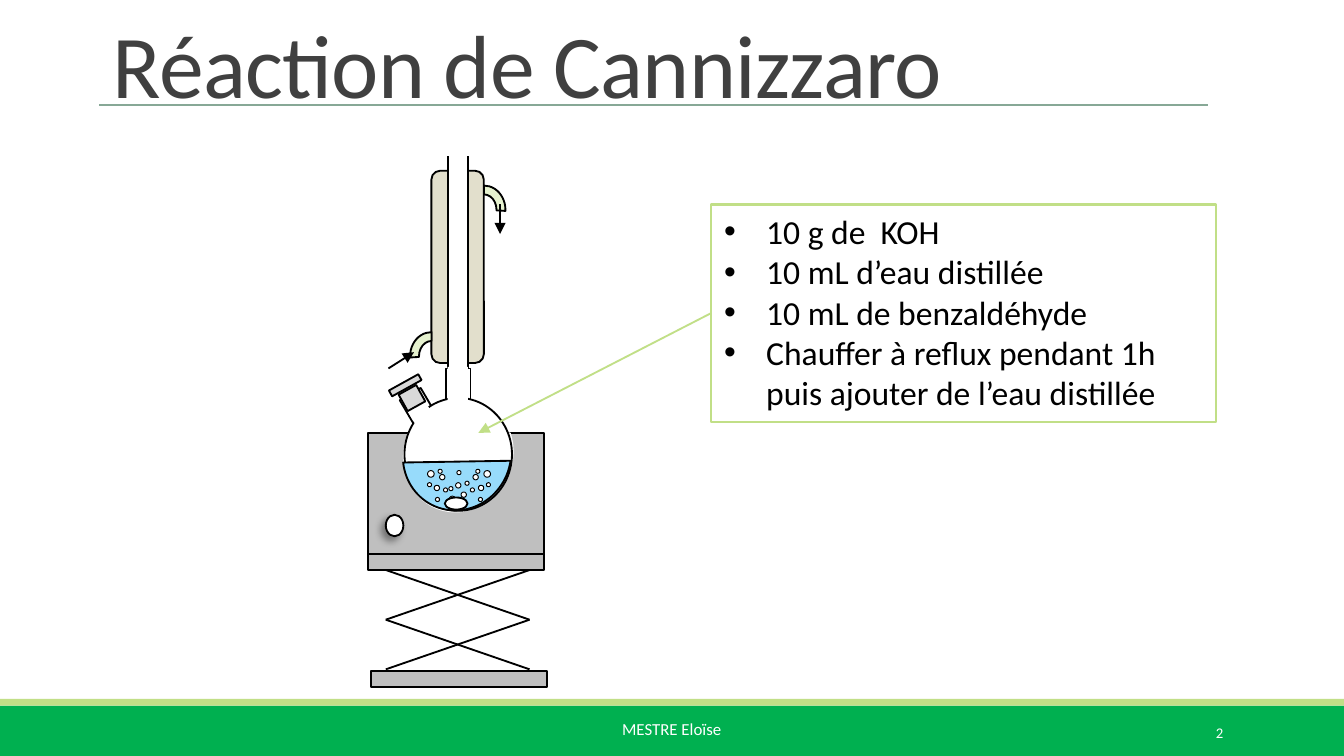
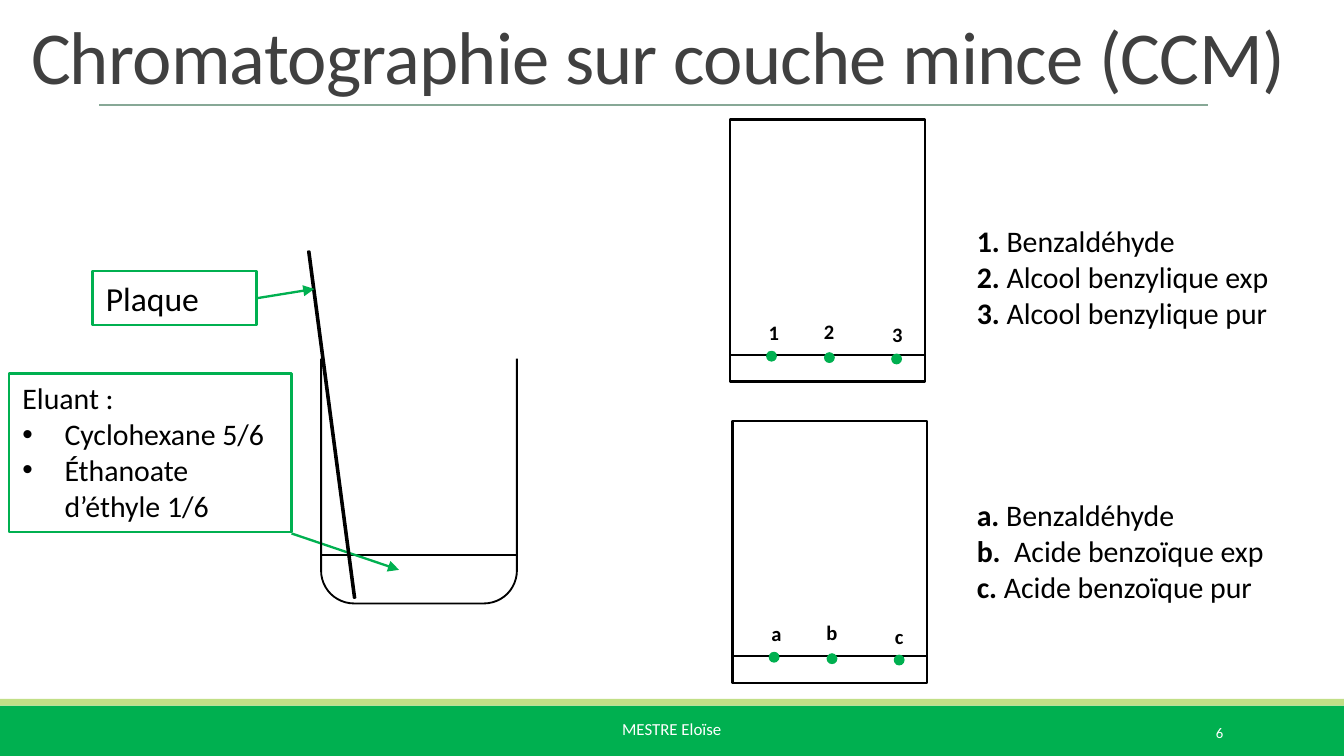
import math
from lxml import etree
from pptx import Presentation
from pptx import util as u
from pptx.dml.color import RGBColor
from pptx.enum import shapes, text
from pptx.oxml.ns import qn

Pt = u.Pt
KIND = shapes.MSO_SHAPE
FONT = "Calibri"
BLACK, WHITE, DARK = "000000", "FFFFFF", "404040"
GREEN, LIME, RULE = "00B050", "C1DF87", "87A896"
GREY, PALE_GREY, BEIGE = "BFBFBF", "D9D9D9", "E2DFCC"
HOSE, WATER, PLATE_GREY = "E6F2CF", "97DBFB", "A6A6A6"


def rgb(value):
    return RGBColor.from_string(value)


def style(run, size, color=BLACK, bold=False):
    run.font.name, run.font.size, run.font.bold = FONT, Pt(size), bold
    run.font.color.rgb = rgb(color)


def bullet(p, indent=22.5):
    pPr = p._p.get_or_add_pPr()
    pPr.set("marL", str(Pt(indent)))
    pPr.set("indent", str(-Pt(indent)))
    etree.SubElement(pPr, qn("a:buFont"), typeface="Arial")
    etree.SubElement(pPr, qn("a:buChar"), char="•")


def write(tf, lines, size, color=BLACK, bold=False, align=text.PP_ALIGN.LEFT,
          first_bullet=None):
    """Fill a frame; lines from first_bullet onwards get bullets."""
    tf.text = "\n".join(lines)
    for i, p in enumerate(tf.paragraphs):
        p.alignment = align
        if first_bullet is not None and i >= first_bullet:
            bullet(p)
        for r in p.runs:
            style(r, size, color, bold)


class Panel:
    """A group of parts placed relative to its left top corner."""

    def __init__(self, s, x, y):
        self.shapes = s.shapes.add_group_shape().shapes
        self.x, self.y = x, y

    def at(self, x, y):
        return Pt(self.x + x), Pt(self.y + y)

    def shape(self, kind, x, y, w, h, fill, line=None, width=1, rot=0,
              adj=(), flip=False):
        sp = self.shapes.add_shape(kind, *self.at(x, y), Pt(w), Pt(h))
        sp.shadow.inherit = False
        sp.rotation = rot
        for i, value in enumerate(adj):
            sp.adjustments[i] = value
        if flip:
            sp._element.spPr.xfrm.set("flipH", "1")
        sp.fill.solid()
        sp.fill.fore_color.rgb = rgb(fill)
        if line:
            sp.line.color.rgb = rgb(line)
            sp.line.width = Pt(width)
        else:
            sp.line.fill.background()
        return sp

    def line(self, x1, y1, x2, y2, color=BLACK, width=1, arrow=False):
        c = self.shapes.add_connector(shapes.MSO_CONNECTOR.STRAIGHT,
                                      *self.at(x1, y1), *self.at(x2, y2))
        c.line.color.rgb = rgb(color)
        c.line.width = Pt(width)
        if arrow:
            etree.SubElement(c.line._get_or_add_ln(), qn("a:tailEnd"), type="triangle")
        etree.SubElement(c._element.spPr, qn("a:effectLst"))
        return c

    def callout(self, x, y, w, h, lines, size, color, first_bullet=None):
        sp = self.shape(KIND.RECTANGLE, x, y, w, h, WHITE, color, 1.25)
        tf = sp.text_frame
        tf.word_wrap = True
        tf.vertical_anchor = text.MSO_ANCHOR.TOP
        write(tf, lines, size, first_bullet=first_bullet)
        return sp


def textbox(parent, x, y, w, h):
    tf = parent.add_textbox(Pt(x), Pt(y), Pt(w), Pt(h)).text_frame
    tf.word_wrap = True
    return tf


# Shared frame: title, rule, bands, author and number
def new_slide(prs, title, title_box, size, number):
    s = prs.slides.add_slide(prs.slide_layouts[5])
    ph = s.shapes.title
    ph.left, ph.top, ph.width, ph.height = map(Pt, title_box)
    tf = ph.text_frame
    write(tf, [title], size, DARK)
    tf.auto_size = text.MSO_AUTO_SIZE.NONE
    tf.vertical_anchor = text.MSO_ANCHOR.BOTTOM
    p = tf.paragraphs[0]
    p.line_spacing = 0.85
    p.runs[0]._r.get_or_add_rPr().set("spc", "-40")

    frame = Panel(s, 0, 0)
    frame.shape(KIND.RECTANGLE, 0, 378, 720, 27, GREEN)
    frame.shape(KIND.RECTANGLE, 0, 374.4, 720, 3.6, LIME)
    frame.line(53.3, 56.2, 647.3, 56.2, RULE)

    author = textbox(s.shapes, 326.2, 381.6, 67.7, 32.4)
    author.word_wrap = False
    write(author, ["MESTRE Eloïse"], 9, WHITE)
    page = textbox(s.shapes, 584.6, 381.6, 77.8, 21.6)
    page.vertical_anchor = text.MSO_ANCHOR.MIDDLE
    write(page, [number], 7.9, WHITE, align=text.PP_ALIGN.RIGHT)
    return s


# Reflux set-up
def condenser(a):
    a.shape(KIND.ROUNDED_RECTANGLE, 33.8, 11.5, 28.1, 103, BEIGE, BLACK)
    a.shape(KIND.RECTANGLE, 42.5, 2.9, 10.8, 119.5, WHITE, BLACK)
    a.shape(KIND.RECTANGLE, 40.3, 0, 13.7, 3.6, WHITE)
    a.shape(KIND.RECTANGLE, 42.5, 122.4, 10.1, 5, WHITE, WHITE, 1.5)
    for x, y, rot, flip, arrow in (
            (49, 20.9, 90, False, (70.6, 29.5, 70.6, 45.4)),
            (20.9, 99.4, 270, True, (10.8, 117.4, 24.5, 108.7))):
        a.shape(KIND.BLOCK_ARC, x, y, 25.9, 23, HOSE, BLACK, rot=rot,
                adj=(108, 163.84, 0.207), flip=flip)
        a.line(*arrow, arrow=True)


def heater_and_jack(a):
    a.shape(KIND.RECTANGLE, 0, 151.9, 94.3, 65.5, GREY, BLACK)
    knob = a.shape(KIND.OVAL, 9.4, 195.8, 9.4, 11.5, WHITE, BLACK)
    shadow = etree.SubElement(
        knob._element.spPr.find(qn("a:effectLst")), qn("a:outerShdw"),
        blurRad=str(Pt(4)), dist=str(Pt(3)), dir=str(135 * 60000))
    black = etree.SubElement(shadow, qn("a:srgbClr"), val=BLACK)
    etree.SubElement(black, qn("a:alpha"), val="40000")
    a.shape(KIND.CHORD, 17.3, 134.6, 61.9, 57.6, PALE_GREY, WHITE,
            rot=292.8, adj=(27, 162.36))
    for x, y in ((0, 216.7), (1.4, 279.4)):
        a.shape(KIND.RECTANGLE, x, y, 94.3, 8.6, GREY, BLACK)
    left, right, stage = 9.4, 86.4, 26.6
    for y in (225.4, 225.4 + stage):
        a.line(left, y, right, y + stage)
        a.line(right, y, left, y + stage)


def flask(a):
    tilt = 329.6
    a.shape(KIND.RECTANGLE, 21.6, 129.6, 13, 22.3, WHITE, BLACK, rot=tilt)
    a.shape(KIND.RECTANGLE, 41.8, 117.4, 13, 22.3, WHITE, BLACK)
    a.shape(KIND.OVAL, 19.4, 133.2, 57.6, 60.5, WHITE, BLACK)
    a.shape(KIND.RECTANGLE, 22.3, 128.2, 10.8, 25.2, WHITE, rot=tilt)
    a.shape(KIND.RECTANGLE, 42.5, 116.6, 10.8, 25.2, WHITE)
    a.shape(KIND.CHORD, 17.3, 134.6, 60.5, 57.6, WATER, BLACK,
            rot=292.7, adj=(44.47, 143.22))
    # Bubbles: the side ones are mirrored about the flask axis
    axis = 48.6
    side = [(31.7, 178.6, 2.2), (35.3, 180, 2.9), (38.2, 174.2, 2.9),
            (31.7, 172.1, 3.6), (37.4, 171.4, 2.2), (40.3, 181.4, 2.2),
            (36, 186.5, 2.2)]
    centre = [(43.2, 180.7, 2.2), (46.8, 178.6, 2.9), (49.7, 183.6, 2.9),
              (43.2, 185.8, 3.6), (49, 187.9, 2.2), (51.8, 177.8, 2.2),
              (47.5, 172.1, 2.2)]
    mirrored = [(2 * axis - x - d, y, d) for x, y, d in side]
    for x, y, d in mirrored + side + centre:
        a.shape(KIND.OVAL, x, y, d, d, WHITE, BLACK, 0.5)
    # Stir bar and stopper
    a.shape(KIND.OVAL, 41, 186.5, 12.2, 6.5, WHITE, BLACK)
    a.shape(KIND.RECTANGLE, 18, 128.2, 10.8, 10.1, PALE_GREY, BLACK, rot=331)
    a.shape(KIND.RECTANGLE, 10.8, 124.6, 18, 3.6, PALE_GREY, BLACK, rot=331)


def reflux_setup(s, x, y):
    a = Panel(s, x, y)
    condenser(a)
    heater_and_jack(a)
    flask(a)
    recipe = a.callout(183.6, 29.5, 270.7, 116.6, [
        "10 g de  KOH", "10 mL d’eau distillée", "10 mL de benzaldéhyde",
        "Chauffer à reflux pendant 1h puis ajouter de l’eau distillée"],
        18, LIME, first_bullet=0)
    a.line(183.6, 87.8, 59, 151.9, LIME, arrow=True).begin_connect(recipe, 1)


# Developing tank with its plate and labels
def beaker(a, left, top, right, bottom, radius):
    points = [(left, top)]
    for cx, start in ((left + radius, 180), (right - radius, 90)):
        for step in range(13):
            angle = math.radians(start - step * 7.5)
            points.append((cx + radius * math.cos(angle),
                           bottom - radius + radius * math.sin(angle)))
    points.append((right, top))
    points = [a.at(*point) for point in points]
    builder = a.shapes.build_freeform(*points[0])
    builder.add_line_segments(points[1:], close=False)
    sp = builder.convert_to_shape()
    sp.shadow.inherit = False
    sp.fill.background()
    sp.line.color.rgb = rgb(BLACK)
    sp.line.width = Pt(1)


def tank(s, x, y):
    a = Panel(s, x, y)
    left, right = 167, 271.9
    a.line(left, 163.4, right, 163.4)
    a.callout(0, 66.2, 151.2, 85, ["Eluant :", "Cyclohexane 5/6",
              "Éthanoate d’éthyle 1/6"], 16, GREEN, first_bullet=1)
    a.line(151.2, 151.9, 208.8, 171.4, GREEN, 1.25, arrow=True)
    beaker(a, left, 58.3, right, 189.4, 17.6)
    a.shape(KIND.PARALLELOGRAM, 170.6, 0, 4.3, 187.2, PLATE_GREY, BLACK,
            rot=353.5, adj=(0.78,), flip=True)
    label = a.callout(44.6, 11.5, 87.8, 28.8, ["Plaque"], 18, GREEN)
    a.line(132.4, 25.9, 163.4, 20.9, GREEN, 1.25, arrow=True).begin_connect(label, 3)


# Plate with three spots on its start line
def plate(s, x, y, names):
    a = Panel(s, x, y)
    a.shape(KIND.RECTANGLE, 0, 0, 104.4, 140.4, WHITE, BLACK, 1.25)
    a.line(0, 126, 104.4, 126)
    spots = ((19.4, 123.8), (50.4, 124.6), (86.4, 125.3))
    for sx, sy in spots:
        a.shape(KIND.OVAL, sx, sy, 5.8, 5.8, GREEN)
    for name, (nx, ny) in zip(names, ((13.7, 103.7), (43.2, 103), (79.9, 105.1))):
        write(textbox(a.shapes, x + nx, y + ny, 18, 20.9), [name], 11, bold=True)


def legend(s, x, y, entries):
    tf = textbox(s.shapes, x, y, 179.3, 65.5)
    for i, (mark, name) in enumerate(entries):
        p = tf.paragraphs[0] if i == 0 else tf.add_paragraph()
        for part, bold in ((mark, True), (name, False)):
            r = p.add_run()
            r.text = part
            style(r, 16, bold=bold)


def main():
    prs = Presentation()
    prs.slide_width, prs.slide_height = Pt(720), Pt(405)

    s = new_slide(prs, "Réaction de Cannizzaro", (53.3, 11.5, 594, 54.7), 48, "2")
    reflux_setup(s, 197.3, 80)

    s = new_slide(prs, "Chromatographie sur couche mince (CCM)",
                  (9.4, 2.2, 710.6, 54.7), 40, "6")
    tank(s, 5, 133.9)
    plate(s, 391, 64.1, "123")
    plate(s, 392.4, 225.4, "abc")
    legend(s, 516.2, 115.9, [("1.", " Benzaldéhyde"), ("2. ", "Alcool benzylique exp"),
                             ("3. ", "Alcool benzylique pur")])
    legend(s, 516.2, 262.8, [("a. ", "Benzaldéhyde"), ("b. ", " Acide benzoïque exp"),
                             ("c. ", "Acide benzoïque pur")])
    prs.save("out.pptx")


if __name__ == "__main__":
    main()
